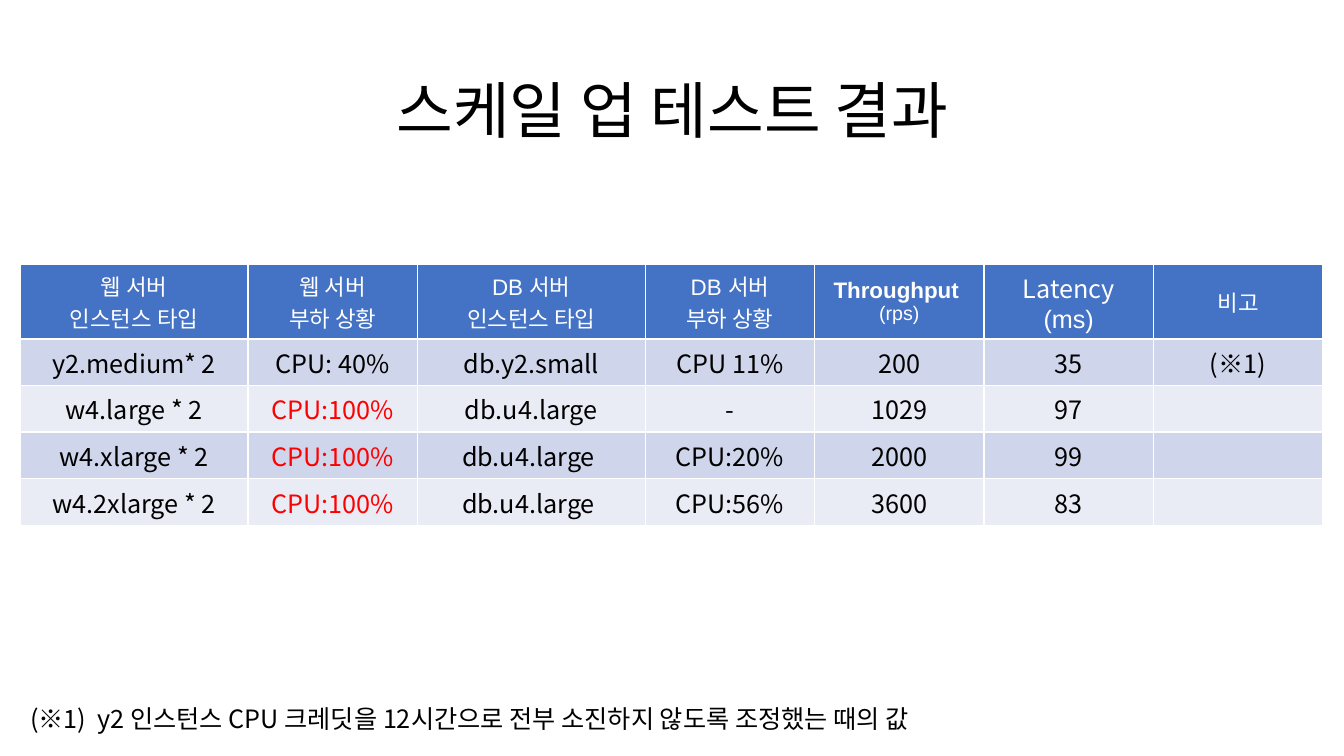
from dataclasses import dataclass

from lxml.etree import SubElement
from pptx import Presentation
from pptx.dml.color import RGBColor
from pptx.enum.text import MSO_ANCHOR, MSO_AUTO_SIZE, PP_ALIGN
from pptx.oxml.ns import qn
from pptx.table import _Cell as Cell
from pptx.text.text import TextFrame
from pptx.util import Inches, Pt

COLORS = {
    "black": "000000", "white": "FFFFFF", "red": "FF0000",
    "head": "4472C4", "odd": "CFD5EA", "even": "E9EBF5",
}
NOTO = "Noto Sans CJK JP"


@dataclass
class Line:
    text: str
    size: int = 18
    font: str = NOTO
    color: str = "black"
    bold: bool = False


def head(text: str, size: int = 16, font: str = "Arial", bold: bool = False) -> Line:
    return Line(text, size, font, "white", bold)


def write(frame: TextFrame, lines: list[Line], align: PP_ALIGN) -> None:
    """Fill a text frame with one paragraph per line."""
    frame.text = "\n".join(line.text for line in lines)
    for para, line in zip(frame.paragraphs, lines):
        para.alignment = align
        for run in para.runs:
            font = run.font
            font.size, font.name, font.bold = Pt(line.size), line.font, line.bold
            font.color.rgb = RGBColor.from_string(COLORS[line.color])
            # Korean text takes the East Asian font
            SubElement(run._r.rPr, qn("a:ea")).set("typeface", NOTO)


def paint(cell: Cell, lines: list[Line], fill: str) -> None:
    cell.fill.solid()
    cell.fill.fore_color.rgb = RGBColor.from_string(COLORS[fill])
    cell.vertical_anchor = MSO_ANCHOR.MIDDLE
    write(cell.text_frame, lines, PP_ALIGN.CENTER)


HEADS = [
    [head("웹 서버"), head("인스턴스 타입")],
    [head("웹 서버"), head("부하 상황")],
    [head("DB 서버"), head("인스턴스 타입")],
    [head("DB 서버"), head("부하 상황")],
    [head("Throughput ", bold=True), head("(rps)", 14)],
    [head("Latency", 18, NOTO), head("(ms)", 18)],
    [head("비고")],
]
ROWS = [
    ["y2.medium* 2", "CPU: 40%", "db.y2.small", "CPU 11%", "200", "35", "(※1)"],
    ["w4.large * 2", "CPU:100%", "db.u4.large", "-", "1029", "97", ""],
    ["w4.xlarge * 2", "CPU:100%", "db.u4.large ", "CPU:20%", "2000", "99", ""],
    ["w4.2xlarge * 2", "CPU:100%", "db.u4.large ", "CPU:56%", "3600", "83", ""],
]
WIDTHS = [2.26, 1.68, 2.26, 1.68, 1.68, 1.68, 1.68]
HEIGHTS = [0.74] + [0.46] * len(ROWS)


def main() -> None:
    deck = Presentation()
    deck.slide_width, deck.slide_height = Inches(13.33), Inches(7.5)
    slide = deck.slides.add_slide(deck.slide_layouts[5])

    # Title
    title = slide.shapes.title
    title.left, title.top = Inches(0.92), Inches(0.4)
    title.width, title.height = Inches(11.5), Inches(1.45)
    title.text_frame.vertical_anchor = MSO_ANCHOR.MIDDLE
    write(title.text_frame, [Line("스케일 업 테스트 결과", 44)], PP_ALIGN.CENTER)
    title.text_frame.paragraphs[0].line_spacing = 0.9

    # Result table
    table = slide.shapes.add_table(
        len(HEIGHTS), len(WIDTHS), Inches(0.2), Inches(2.62),
        Inches(sum(WIDTHS)), Inches(sum(HEIGHTS))).table
    for col, width in zip(table.columns, WIDTHS):
        col.width = Inches(width)
    for row, height in zip(table.rows, HEIGHTS):
        row.height = Inches(height)
    for c, lines in enumerate(HEADS):
        paint(table.cell(0, c), lines, "head")
    for r, texts in enumerate(ROWS, 1):
        for c, text in enumerate(texts):
            color = "red" if text == "CPU:100%" else "black"
            paint(table.cell(r, c), [Line(text, color=color)], "odd" if r % 2 else "even")

    # Footnote
    note = slide.shapes.add_textbox(Inches(0.2), Inches(6.93), Inches(9.76), Inches(0.4))
    note.text_frame.word_wrap = False
    note.text_frame.auto_size = MSO_AUTO_SIZE.SHAPE_TO_FIT_TEXT
    text = "(※1)  y2 인스턴스 CPU 크레딧을 12시간으로 전부 소진하지 않도록 조정했는 때의 값"
    write(note.text_frame, [Line(text)], PP_ALIGN.LEFT)

    deck.save("out.pptx")


if __name__ == "__main__":
    main()
